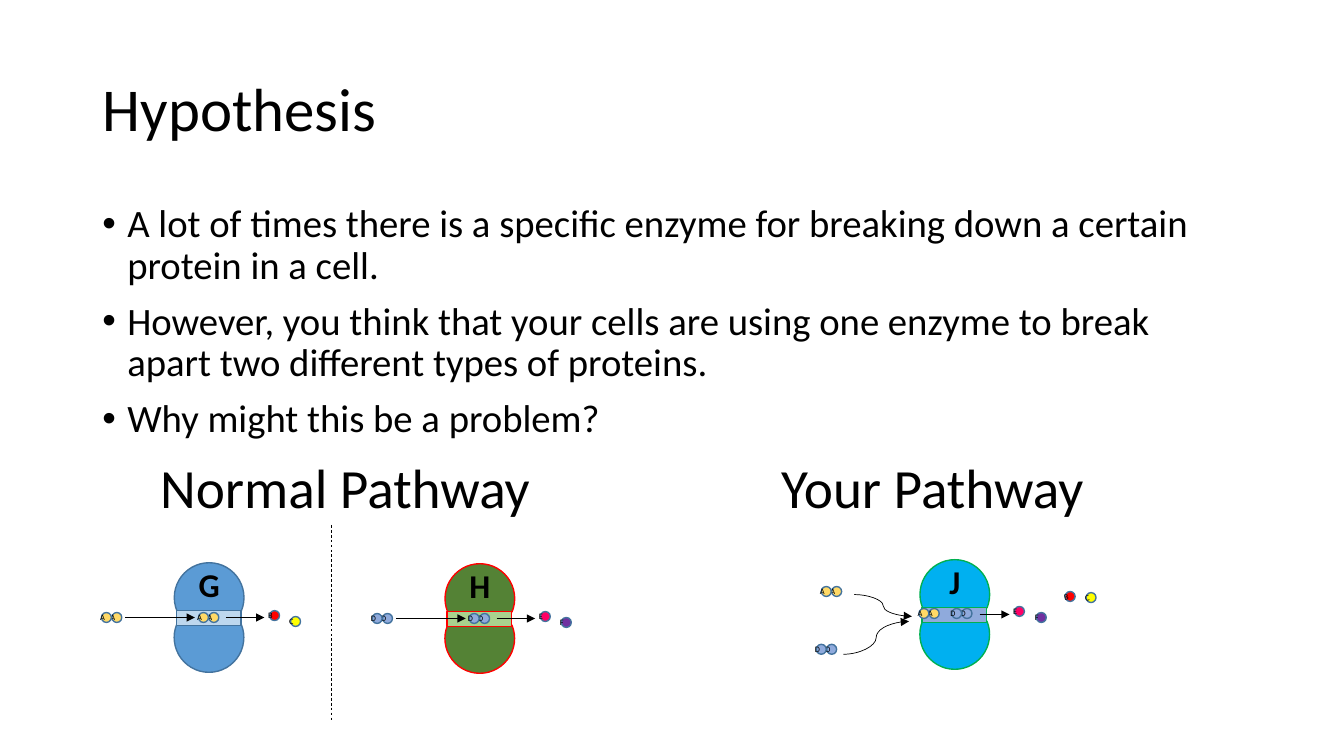
import pptx
import pptx.util
import pptx.dml.color
import pptx.enum.dml
import pptx.enum.shapes
import pptx.enum.text
import pptx.oxml
import pptx.oxml.ns
import lxml.etree

Pt = pptx.util.Pt
SHAPE = pptx.enum.shapes.MSO_SHAPE
LINK = pptx.enum.shapes.MSO_CONNECTOR
ALIGN = pptx.enum.text.PP_ALIGN
ANCHOR = pptx.enum.text.MSO_ANCHOR
HUES = {
    "ink": "000000", "rim": "43739E",
    "A": "FFD966", "B": "FF0000", "C": "FFFF00",
    "D": "8FAADC", "E": "FF0066", "F": "7030A0",
}
SKINS = {
    "G": {"body": "5B9BD5", "slot": "BDD7EE", "rim": "43739E"},
    "H": {"body": "548235", "slot": "A9D18E", "rim": "FF0000"},
    "J": {"body": "00B0F0", "slot": "8FAADC", "rim": "00B050"},
}
BULLETS = [
    "A lot of times there is a specific enzyme for breaking down a certain protein in a cell.",
    "However, you think that your cells are using one enzyme to break apart two different types of proteins.",
    "Why might this be a problem?",
]
BALL, STEP = 7.2, 7.5


def color(code):
    """Turn a hex string into a colour."""
    return pptx.dml.color.RGBColor.from_string(code)


def style(para, size, align=ALIGN.LEFT, bold=False):
    """Set the font and alignment of a paragraph."""
    para.alignment = align
    font = para.font
    font.name, font.size, font.bold = "Calibri", Pt(size), bold
    font.color.rgb = color(HUES["ink"])


def place(shape, box):
    """Move a shape to a box given in points."""
    shape.left, shape.top, shape.width, shape.height = map(Pt, box)


def label(slide, box, text, size, align=ALIGN.CENTER, bold=False, wrap=True):
    """Add one line of text."""
    note = slide.shapes.add_textbox(*map(Pt, box))
    frame = note.text_frame
    frame.word_wrap = wrap
    frame.text = text
    style(frame.paragraphs[0], size, align, bold)
    return note


def solid(slide, kind, box, fill, rim, turn=0):
    """Add a filled and outlined preset shape."""
    shape = slide.shapes.add_shape(kind, *map(Pt, box))
    shape.shadow.inherit = False
    shape.fill.solid()
    shape.fill.fore_color.rgb = color(fill)
    shape.line.color.rgb = color(rim)
    shape.line.width = Pt(1)
    shape.rotation = turn


def link(slide, start, end, kind=LINK.STRAIGHT, arrow=True):
    """Join two points with a thin line, dashed when it has no arrow."""
    line = slide.shapes.add_connector(kind, *map(Pt, start + end))
    line.line.color.rgb = color(HUES["ink"])
    line.line.width = Pt(0.5)
    if arrow:
        tail = lxml.etree.SubElement(line.line._get_or_add_ln(), pptx.oxml.ns.qn("a:tailEnd"))
        tail.set("type", "triangle")
    else:
        line.line.dash_style = pptx.enum.dml.MSO_LINE.DASH
    props = line._element.spPr
    lxml.etree.SubElement(props, pptx.oxml.ns.qn("a:effectLst"))


def ball(slide, left, top, name, turn=0):
    """Add a lettered ball for one unit of a protein."""
    solid(slide, SHAPE.OVAL, (left, top, BALL, BALL), HUES[name], HUES["rim"])
    note = label(slide, (left - 2, top - 3.6, 8, 14.4), name, 6, ALIGN.LEFT)
    note.text_frame.margin_left, note.text_frame.margin_right = Pt(1), 0
    note.rotation = turn


def pair(slide, left, top, name):
    """Add a protein made of two equal balls."""
    for i in (1, 0):
        ball(slide, left + i * STEP, top, name)


def enzyme(slide, left, top, name):
    """Draw an enzyme as two lobes around a slot."""
    skin = SKINS[name]
    for down, turn in ((28.8, 292.5), (0, 112.5)):
        solid(slide, SHAPE.CHORD, (left, top + down, 50.4, 50.4), skin["body"], skin["rim"], turn)
    solid(slide, SHAPE.RECTANGLE, (left + 1.5, top + 34.5, 46.8, 10.8), skin["slot"], skin["rim"])
    label(slide, (left + 9.4, top - 2.2, 31.7, 36), name, 24, bold=True)


def normal(slide, left, top, name, food, parts):
    """Draw one enzyme splitting its own protein."""
    enzyme(slide, left, top, name)
    for x in (-52.6, 17.6):
        pair(slide, left + x, top + 36, food)
    for x, end in ((-35.3, 15), (37.4, 65.2)):
        link(slide, (left + x, top + 39.6), (left + end, top + 39.6))
    for part, x, y in zip(parts, (69, 84.2), (34.6, 38.9)):
        ball(slide, left + x, top + y, part)


def shared(slide, left, top):
    """Draw one enzyme splitting two proteins."""
    enzyme(slide, left, top, "J")
    for name, x, y in (("D", 23, 35.3), ("D", -74.9, 61.2), ("A", -71.3, 19.4), ("A", -0.7, 35.3)):
        pair(slide, left + x, top + y, name)
    link(slide, (left + 43.2, top + 39.6), (left + 64.8, top + 39.6))
    for x, y, end, low in ((-47.5, 25.2, -5.8, 41), (-55.4, 68.4, -7.9, 44.6)):
        link(slide, (left + x, top + y), (left + end, top + low), LINK.CURVE)
    for name, x, y, turn in (("E", 68.4, 33.8, 0), ("F", 84.2, 38.2, 0),
                             ("B", 105.1, 23, 347.8), ("C", 120.2, 23.8, 347.8)):
        ball(slide, left + x, top + y, name, turn)


def heading(slide, box):
    """Fill and format the title."""
    title = slide.shapes.title
    place(title, box)
    frame = title.text_frame
    frame.text = "Hypothesis"
    frame.vertical_anchor = ANCHOR.MIDDLE
    frame.paragraphs[0].line_spacing = 0.9
    style(frame.paragraphs[0], 44)


def points(slide, box):
    """Write the bulleted text."""
    frame = slide.shapes.add_textbox(*map(Pt, box)).text_frame
    frame.word_wrap = True
    for i, text in enumerate(BULLETS):
        para = frame.add_paragraph() if i else frame.paragraphs[0]
        para.text = text
        para.line_spacing = 0.9
        para.space_before = Pt(10)
        props = para._p.get_or_add_pPr()
        props.set("marL", str(Pt(18)))
        props.set("indent", str(Pt(-18)))
        face = lxml.etree.SubElement(props, pptx.oxml.ns.qn("a:buFont"))
        face.set("typeface", "Arial")
        mark = lxml.etree.SubElement(props, pptx.oxml.ns.qn("a:buChar"))
        mark.set("char", "\u2022")
        style(para, 28)


def main():
    """Build and save the slide."""
    deck = pptx.Presentation()
    deck.slide_width, deck.slide_height = Pt(972), Pt(540)
    slide = deck.slides.add_slide(deck.slide_layouts[5])
    heading(slide, (67, 28.8, 838, 104.4))
    points(slide, (67, 144, 838, 342.7))
    normal(slide, 126, 406.8, "G", "A", "BC")
    normal(slide, 321.8, 407.5, "H", "D", "EF")
    link(slide, (239.8, 379.4), (239.8, 522), arrow=False)
    shared(slide, 665.3, 404.6)
    for text, left, width in (("Normal Pathway", 107.3, 284.4), ("Your Pathway", 556.6, 235.4)):
        label(slide, (left, 324, width, 55.4), text, 40, wrap=False)
    deck.save("out.pptx")


main()
